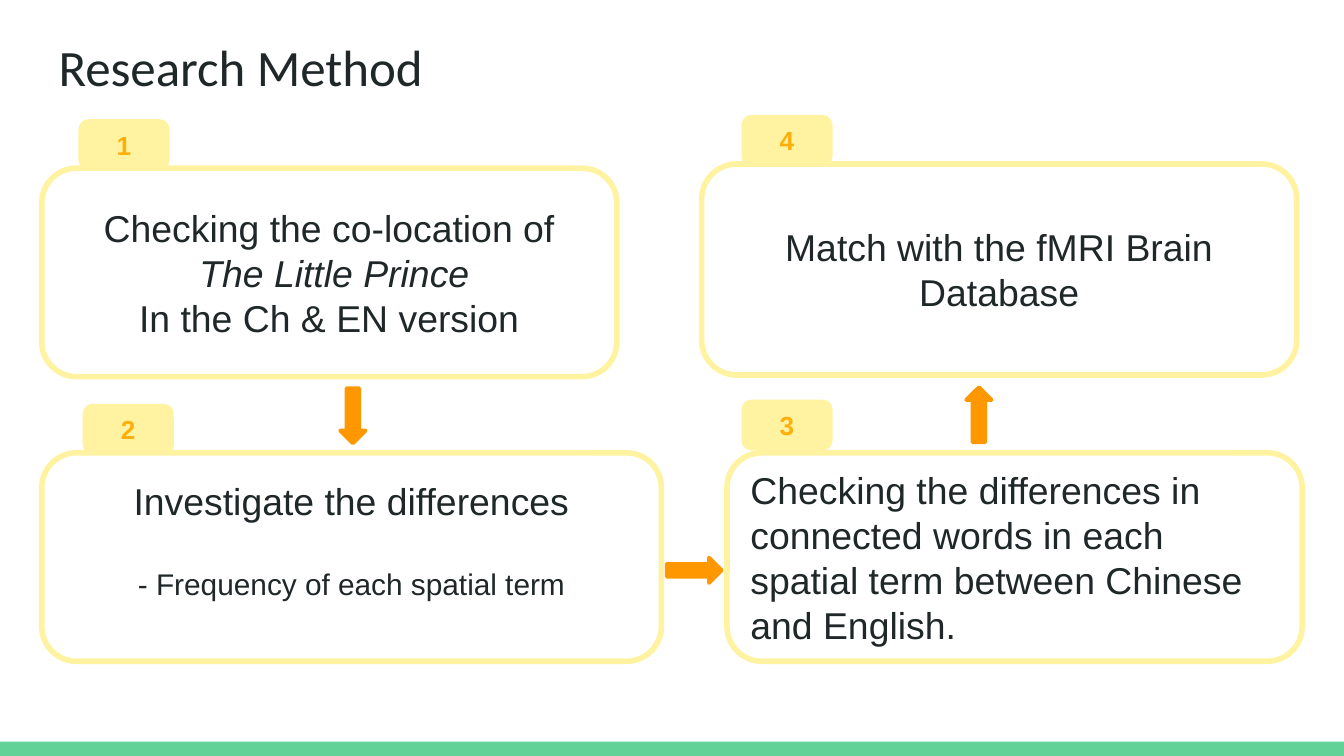
from pptx import Presentation
from pptx.dml.color import RGBColor
from pptx.enum.shapes import MSO_SHAPE
from pptx.enum.text import MSO_ANCHOR, PP_ALIGN
from pptx.util import Cm, Pt

RECTANGLE = MSO_SHAPE.RECTANGLE
ROUNDED = MSO_SHAPE.ROUNDED_RECTANGLE
DOWN_ARROW = MSO_SHAPE.DOWN_ARROW
TOP, MIDDLE = MSO_ANCHOR.TOP, MSO_ANCHOR.MIDDLE
LEFT, CENTER = PP_ALIGN.LEFT, PP_ALIGN.CENTER

COLORS = {
    "white": "FFFFFF",
    "text": "202729",
    "green": "63D297",
    "yellow": "FFF3A1",
    "number": "FFAF0B",
    "arrow": "FF9800",
}
SLIDE_WIDTH, SLIDE_HEIGHT = 25.4, 14.29
BAR_HEIGHT = 0.27
TAB_SIZE = (1.65, 0.89)
ARROW_SIZE = (0.48, 1.04)


def color(name):
    return RGBColor.from_string(COLORS[name])


def write(frame, text, first=False, size=20, font="Arial", ink="text", bold=False,
          italic=False, align=CENTER, before=0, line_spacing=None):
    """Write one paragraph into a text frame."""
    paragraph = frame.paragraphs[0] if first else frame.add_paragraph()
    paragraph.alignment = align
    paragraph.space_before = Pt(before)
    if line_spacing:
        paragraph.line_spacing = line_spacing
    run = paragraph.add_run()
    run.text = text
    run.font.name = font
    run.font.size = Pt(size)
    run.font.bold = bold
    run.font.italic = italic
    run.font.color.rgb = color(ink)


class SlideBuilder:
    """Holds the current slide and draws its elements in one style."""

    def __init__(self, slide):
        self.slide = slide

    def shape(self, kind, left, top, width, height, fill, line=None, line_width=2):
        shape = self.slide.shapes.add_shape(kind, Cm(left), Cm(top), Cm(width), Cm(height))
        shape.shadow.inherit = False
        shape.fill.solid()
        shape.fill.fore_color.rgb = color(fill)
        if line:
            shape.line.color.rgb = color(line)
            shape.line.width = Pt(line_width)
        else:
            shape.line.fill.background()
        return shape

    def title(self, text, left, top, width, height):
        frame = self.slide.shapes.add_textbox(
            Cm(left), Cm(top), Cm(width), Cm(height)).text_frame
        frame.word_wrap = True
        frame.vertical_anchor = TOP
        frame.margin_left = frame.margin_right = Cm(0.25)
        frame.margin_top = frame.margin_bottom = Cm(0.25)
        write(frame, text, first=True, size=27.3, font="Calibri", align=LEFT, line_spacing=0.9)

    def box(self, place, paragraphs, bottom_margin=0.13):
        frame = self.shape(ROUNDED, *place, "white", "yellow", 3).text_frame
        frame.word_wrap = True
        frame.vertical_anchor = MIDDLE
        frame.margin_bottom = Cm(bottom_margin)
        for index, (text, style) in enumerate(paragraphs):
            write(frame, text, first=index == 0, **style)

    def tab(self, number, left, top):
        frame = self.shape(ROUNDED, left, top, *TAB_SIZE, "yellow", "yellow").text_frame
        frame.vertical_anchor = MIDDLE
        write(frame, str(number), first=True, size=14, ink="number", bold=True)

    def arrow(self, left, top, rotation):
        self.shape(DOWN_ARROW, left, top, *ARROW_SIZE, "arrow", "arrow").rotation = rotation


# Each step: number, tab position, box place, paragraphs, bottom margin of the box
STEPS = [
    (1, (1.52, 2.29), (0.79, 3.18, 10.87, 3.94), [
        ("Checking the co-location of", {}),
        (" The Little Prince", {"italic": True}),
        ("In the Ch & EN version", {}),
    ], 0.13),
    (2, (1.6, 7.67), (0.79, 8.56, 11.71, 3.94), [
        ("Investigate the differences", {}),
        ("- Frequency of each spatial term", {"size": 16, "before": 23}),
    ], 0.78),
    (3, (14.05, 7.59), (13.74, 8.56, 10.87, 3.94), [
        ("Checking the differences in connected words in each spatial term "
         "between Chinese and English.", {"align": LEFT}),
    ], 0.13),
    (4, (14.05, 2.21), (13.26, 3.1, 11.25, 3.99), [
        ("Match with the fMRI Brain Database", {}),
    ], 0.13),
]
# Left, top and rotation of the arrows between the steps
ARROWS = [(6.43, 7.34, 0), (12.88, 10.26, 270), (18.26, 7.32, 180)]


def main():
    presentation = Presentation()
    presentation.slide_width = Cm(SLIDE_WIDTH)
    presentation.slide_height = Cm(SLIDE_HEIGHT)
    builder = SlideBuilder(presentation.slides.add_slide(presentation.slide_layouts[6]))

    # Footer bar and title
    builder.shape(RECTANGLE, 0, SLIDE_HEIGHT - BAR_HEIGHT, SLIDE_WIDTH, BAR_HEIGHT, "green")
    builder.title("Research Method", 0.86, 0.56, 23.67, 1.6)

    # Numbered steps
    for number, tab_position, place, paragraphs, bottom_margin in STEPS:
        builder.box(place, paragraphs, bottom_margin)
        builder.tab(number, *tab_position)

    # Arrows from step to step
    for left, top, rotation in ARROWS:
        builder.arrow(left, top, rotation)

    presentation.save("out.pptx")


if __name__ == "__main__":
    main()
